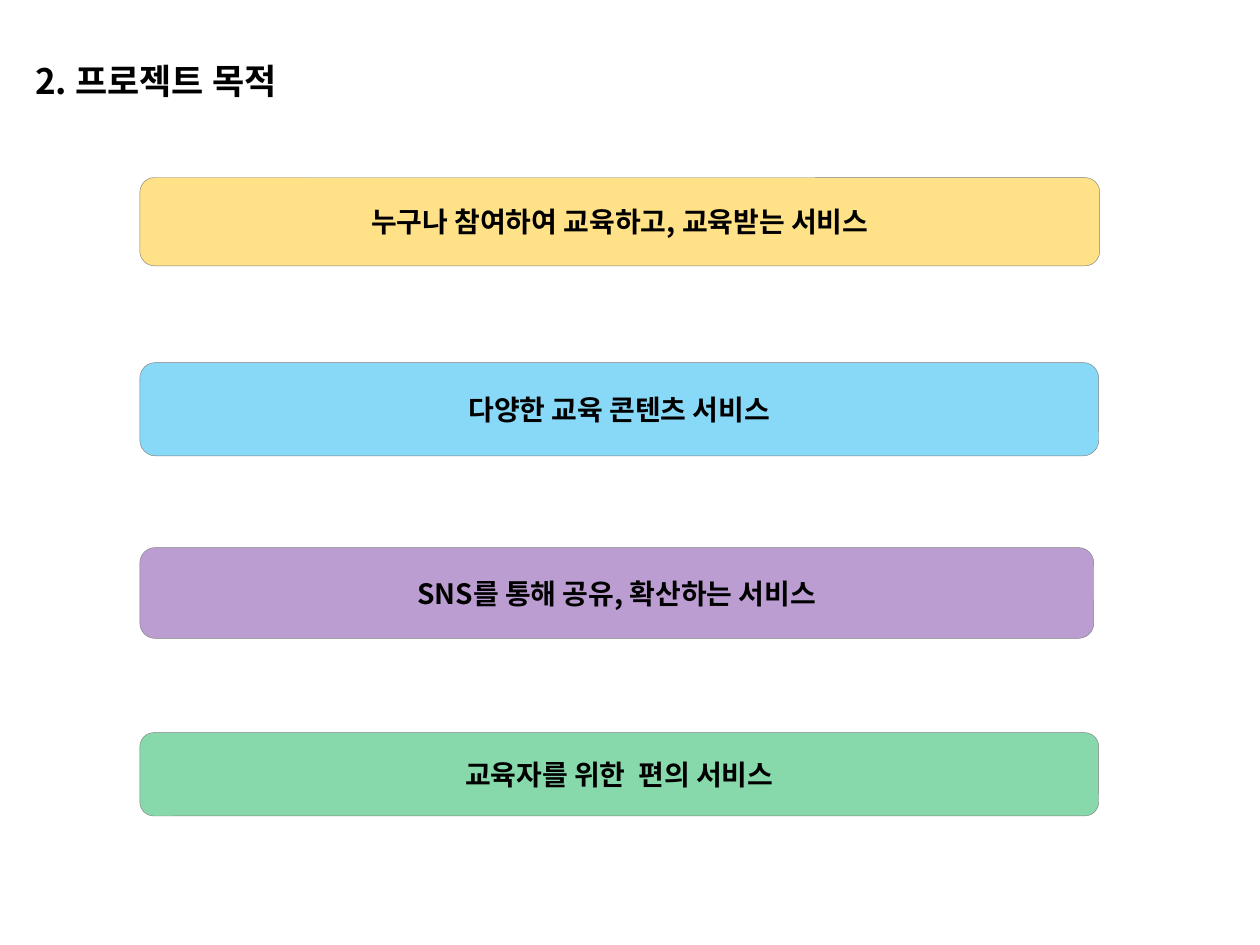
from dataclasses import dataclass

from lxml import etree
from pptx import Presentation
from pptx import util as u
from pptx.dml.color import RGBColor
from pptx.enum import shapes, text
from pptx.oxml.ns import qn
from pptx.shapes.autoshape import Shape
from pptx.slide import Slide

FONT = "Noto Sans CJK KR"
HUES = {
    "gold": "FFC000",
    "blue": "00B0F0",
    "violet": "7030A0",
    "green": "00B050",
    "edge": "808080",
    "ink": "000000",
}
ALPHA = 47  # percent of bar opacity
LEFT, TOP, STEP = 2.82, 3.58, 3.73  # bar column in cm


@dataclass
class Bar:
    label: str
    hue: str
    width: float
    height: float


BARS = [
    Bar("누구나 참여하여 교육하고, 교육받는 서비스", "gold", 19.35, 1.78),
    Bar("다양한 교육 콘텐츠 서비스", "blue", 19.33, 1.88),
    Bar("SNS를 통해 공유, 확산하는 서비스", "violet", 19.23, 1.83),
    Bar("교육자를 위한  편의 서비스", "green", 19.33, 1.68),
]


def color(name: str) -> RGBColor:
    return RGBColor.from_string(HUES[name])


def write(shape: Shape, words: str, size: int, align: text.PP_ALIGN) -> None:
    """Put one bold line of text into a shape."""
    frame = shape.text_frame
    frame.text = words
    frame.word_wrap = True
    line = frame.paragraphs[0]
    line.alignment = align
    for run in line.runs:
        font = run.font
        font.name, font.size, font.bold = FONT, u.Pt(size), True
        font.color.rgb = color("ink")
        # Korean letters use the East Asian font slot
        etree.SubElement(run._r.get_or_add_rPr(), qn("a:ea"), typeface=FONT)


def draw_bar(slide: Slide, bar: Bar, top: float) -> None:
    shape = slide.shapes.add_shape(
        shapes.MSO_SHAPE.ROUNDED_RECTANGLE,
        u.Cm(LEFT), u.Cm(top), u.Cm(bar.width), u.Cm(bar.height),
    )
    shape.shadow.inherit = False
    shape.fill.solid()
    shape.fill.fore_color.rgb = color(bar.hue)
    tint = shape.fill._xPr.find(".//" + qn("a:srgbClr"))
    etree.SubElement(tint, qn("a:alpha"), val=str(ALPHA * 1000))
    shape.line.color.rgb = color("edge")
    shape.line.width = u.Pt(0.25)
    shape.text_frame.vertical_anchor = text.MSO_ANCHOR.MIDDLE
    write(shape, bar.label, 16, text.PP_ALIGN.CENTER)


def draw_title(slide: Slide, words: str) -> None:
    title = slide.shapes.title
    title.left, title.top = u.Cm(0.3), u.Cm(1.07)
    title.width, title.height = u.Cm(16.43), u.Cm(1.12)
    frame = title.text_frame
    frame.margin_left = u.Cm(0.41)
    frame.vertical_anchor = text.MSO_ANCHOR.TOP
    frame.auto_size = text.MSO_AUTO_SIZE.SHAPE_TO_FIT_TEXT
    write(title, words, 20, text.PP_ALIGN.LEFT)


def main() -> None:
    deck = Presentation()
    deck.slide_width, deck.slide_height = u.Cm(25.4), u.Cm(19.05)
    slide = deck.slides.add_slide(deck.slide_layouts[5])

    # Heading
    draw_title(slide, "2. 프로젝트 목적")

    # Purpose bars at an even step
    for row, bar in enumerate(BARS):
        draw_bar(slide, bar, TOP + row * STEP)

    deck.save("out.pptx")


if __name__ == "__main__":
    main()
